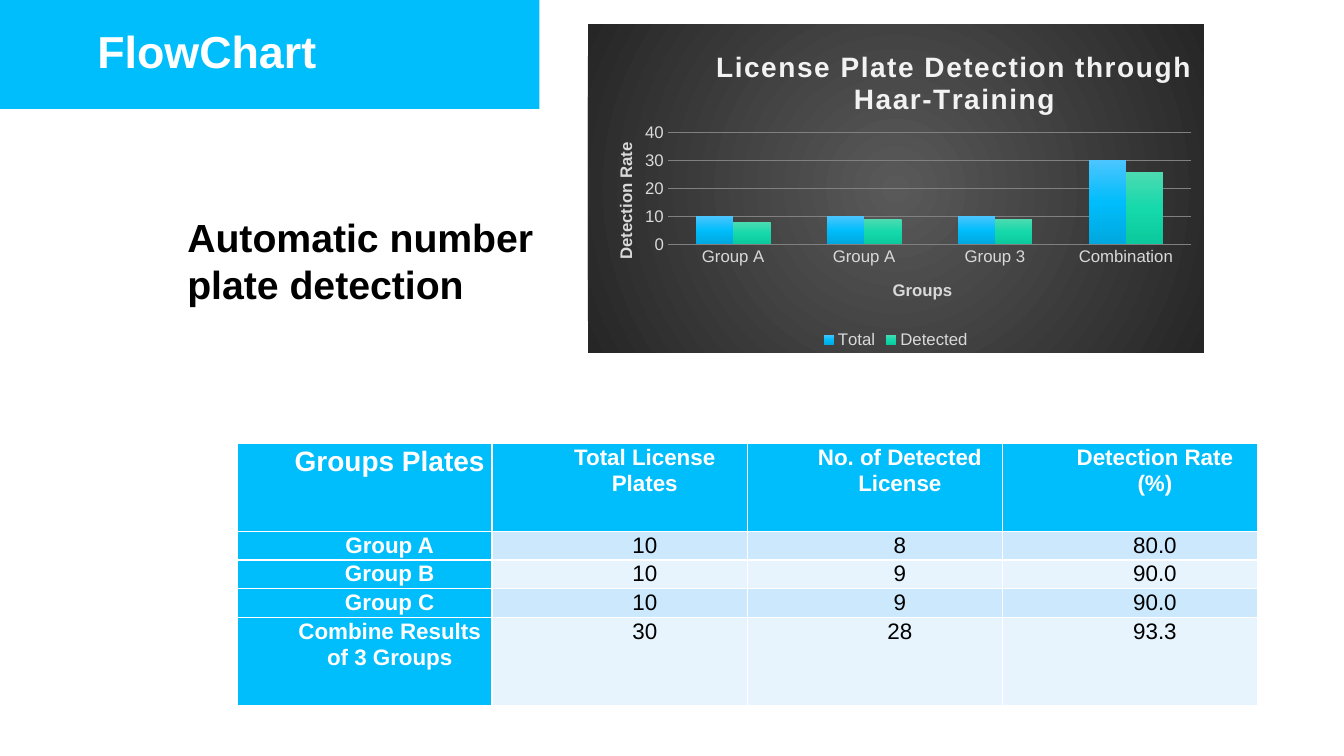
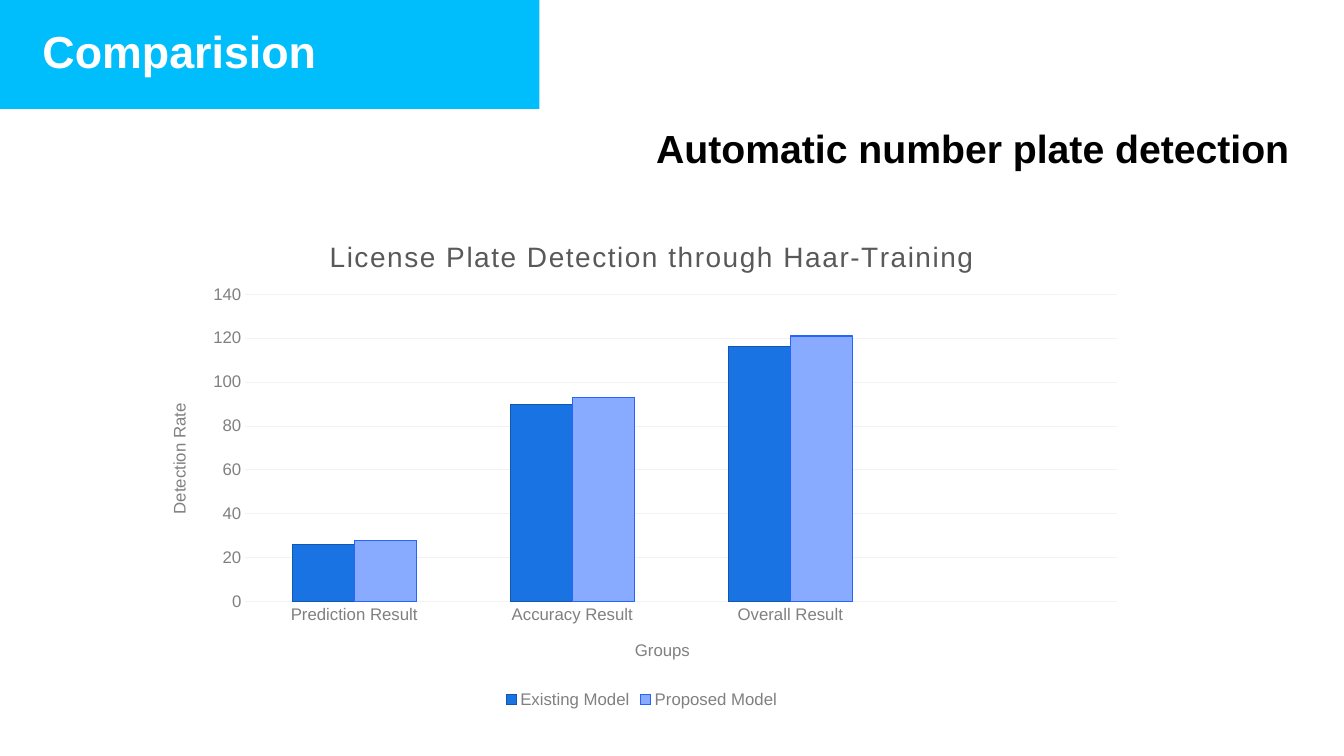
from lxml.etree import SubElement
from pptx import Presentation
from pptx.chart.data import CategoryChartData
from pptx.dml.color import RGBColor
from pptx.enum.chart import XL_CHART_TYPE, XL_LEGEND_POSITION, XL_TICK_MARK
from pptx.enum.shapes import MSO_SHAPE
from pptx.enum.text import MSO_ANCHOR, MSO_AUTO_SIZE, PP_ALIGN
from pptx.oxml import parse_xml
from pptx.oxml.ns import nsdecls, qn
from pptx.util import Inches, Pt

FONT = "Arial"
WHITE = RGBColor(0xFF, 0xFF, 0xFF)
BLACK = RGBColor(0x00, 0x00, 0x00)
SKY = RGBColor(0x00, 0xBD, 0xFB)
ROW_TINTS = (RGBColor(0xCC, 0xE8, 0xFD), RGBColor(0xE7, 0xF4, 0xFE))
SILVER = RGBColor(0xD9, 0xD9, 0xD9)
PALE = RGBColor(0xF2, 0xF2, 0xF2)
GRAY = RGBColor(0x80, 0x80, 0x80)
DARK_GRAY = RGBColor(0x59, 0x59, 0x59)
CHARCOAL = RGBColor(0x26, 0x26, 0x26)
BLUE = RGBColor(0x19, 0x73, 0xE2)
BLUE_EDGE = RGBColor(0x13, 0x57, 0xAA)
PERIWINKLE = RGBColor(0x88, 0xAA, 0xFF)
PERIWINKLE_EDGE = RGBColor(0x26, 0x64, 0xFF)
SKY_STOPS = (RGBColor(0x4B, 0xC5, 0xFF), SKY, RGBColor(0x00, 0xA8, 0xDF))
MINT_STOPS = (RGBColor(0x4E, 0xDA, 0xB1), RGBColor(0x15, 0xD9, 0xAB),
              RGBColor(0x0B, 0xC9, 0x9C))

SUBJECT = "Automatic number plate detection"
CHART_TITLE = "License Plate Detection through Haar-Training"
CATEGORY_TITLE = "Groups"
VALUE_TITLE = "Detection Rate"

RESULTS = [
    ("Groups Plates", "Total License Plates", "No. of Detected License",
     "Detection Rate (%)"),
    ("Group A", "10", "8", "80.0"),
    ("Group B", "10", "9", "90.0"),
    ("Group C", "10", "9", "90.0"),
    ("Combine Results of 3 Groups", "30", "28", "93.3"),
]
TALL_ROW, SHORT_ROW = 0.87, 0.28

# Positions inside a chart are shares of the chart's own size.
DETECTION_CHART = {
    "box": (5.83, 0.24, 6.11, 3.26),
    "categories": ["Group A", "Group A", "Group 3", "Combination"],
    "series": [("Total", (10, 10, 10, 30), SKY_STOPS, None),
               ("Detected", (8, 9, 9, 26), MINT_STOPS, None)],
    "scale": (40, 10),
    "plot": (0.13, 0.33, 0.85, 0.34),
    "title_at": (0.2, 0.06),
    "category_title_at": (0.49, 0.77),
    "value_title_at": (0.04, 0.35),
    "title_color": PALE, "label_color": SILVER, "grid_color": GRAY,
    "bold": True, "background": (DARK_GRAY, CHARCOAL),
}
COMPARISON_CHART = {
    "box": (1.45, 2.07, 9.83, 5),
    "categories": ["Prediction Result", "Accuracy Result", "Overall Result", ""],
    "series": [("Existing Model", (26, 90, 116, None), (BLUE,), BLUE_EDGE),
               ("Proposed Model", (28, 93, 121, None), (PERIWINKLE,), PERIWINKLE_EDGE)],
    "scale": (140, 20),
    "plot": (0.1, 0.17, 0.88, 0.61),
    "title_at": (0.18, 0.05),
    "category_title_at": (0.49, 0.85),
    "value_title_at": (0.02, 0.38),
    "title_color": DARK_GRAY, "label_color": GRAY, "grid_color": PALE,
    "bold": False, "background": None,
}


def set_font(font, size, color, bold=False):
    font.name, font.size, font.bold = FONT, Pt(size), bold
    font.color.rgb = color


def write(text_frame, text, *, size, color, bold=False, align=PP_ALIGN.LEFT):
    text_frame.text = text
    paragraph = text_frame.paragraphs[0]
    paragraph.alignment = align
    set_font(paragraph.runs[0].font, size, color, bold)
    return paragraph


def inches(*lengths):
    return [Inches(length) for length in lengths]


def gradient(colors, direction):
    last = len(colors) - 1
    stops = "".join(
        f'<a:gs pos="{100000 * index // last}"><a:srgbClr val="{color}"/></a:gs>'
        for index, color in enumerate(colors))
    return parse_xml(f'<a:gradFill {nsdecls("a")} rotWithShape="1">'
                     f'<a:gsLst>{stops}</a:gsLst>{direction}</a:gradFill>')


def place(element, **shares):
    """Give a chart title or plot area a manual layout."""
    for old in element.findall(qn("c:layout")):
        element.remove(old)
    layout = parse_xml(f'<c:layout {nsdecls("c")}><c:manualLayout/></c:layout>')
    for name, value in shares.items():
        SubElement(layout[0], qn(f"c:{name}")).set("val", str(value))
    element.insert(0 if element.find(qn("c:tx")) is None else 1, layout)


def write_chart_title(title, text, position, **text_format):
    paragraph = write(title.text_frame, text, align=PP_ALIGN.CENTER, **text_format)
    x, y = position
    place(title._element, xMode="edge", yMode="edge", x=x, y=y)
    return paragraph


def paint_chart_area(chart, colors):
    properties = parse_xml(f'<c:spPr {nsdecls("c", "a")}><a:noFill/>'
                           '<a:ln><a:noFill/></a:ln></c:spPr>')
    if colors:
        circle = ('<a:path path="circle"><a:fillToRect l="50000" t="50000" '
                  'r="50000" b="50000"/></a:path>')
        properties.replace(properties[0], gradient(colors, circle))
    chart.element.find(qn("c:chart")).addnext(properties)


def paint_series(series, colors, edge):
    series.format.fill.solid()
    series.format.fill.fore_color.rgb = colors[0]
    if len(colors) > 1:
        properties = series._element.find(qn("c:spPr"))
        properties.replace(properties.find(qn("a:solidFill")),
                           gradient(colors, '<a:lin ang="5400000" scaled="0"/>'))
    if edge:
        series.format.line.color.rgb = edge
        series.format.line.width = Pt(0.75)


def add_column_chart(slide, design):
    data = CategoryChartData()
    data.categories = design["categories"]
    for name, values, _, _ in design["series"]:
        data.add_series(name, values)
    chart = slide.shapes.add_chart(
        XL_CHART_TYPE.COLUMN_CLUSTERED, *inches(*design["box"]), data).chart
    label_color, bold = design["label_color"], design["bold"]
    set_font(chart.font, 12, label_color)
    paint_chart_area(chart, design["background"])

    plot = chart.plots[0]
    plot.gap_width, plot.overlap, plot.vary_by_categories = 150, 0, False
    for series, (_, _, colors, edge) in zip(plot.series, design["series"]):
        paint_series(series, colors, edge)
    x, y, width, height = design["plot"]
    place(chart.element.find(f".//{qn('c:plotArea')}"), layoutTarget="inner",
          xMode="edge", yMode="edge", x=x, y=y, w=width, h=height)

    chart.has_title = True
    heading = write_chart_title(chart.chart_title, CHART_TITLE, design["title_at"],
                                size=20, color=design["title_color"], bold=bold)
    heading.runs[0]._r.get_or_add_rPr().set("spc", "100")

    value_axis = chart.value_axis
    for axis, text, position in (
            (chart.category_axis, CATEGORY_TITLE, design["category_title_at"]),
            (value_axis, VALUE_TITLE, design["value_title_at"])):
        axis.major_tick_mark = axis.minor_tick_mark = XL_TICK_MARK.NONE
        axis.format.line.fill.background()
        set_font(axis.tick_labels.font, 12, label_color)
        write_chart_title(axis.axis_title, text, position,
                          size=12, color=label_color, bold=bold)
    turned = value_axis.axis_title.text_frame._txBody.find(qn("a:bodyPr"))
    turned.set("rot", "-5400000")
    turned.set("vert", "horz")
    value_axis.minimum_scale = 0
    value_axis.maximum_scale, value_axis.major_unit = design["scale"]
    value_axis.major_gridlines.format.line.color.rgb = design["grid_color"]
    value_axis.major_gridlines.format.line.width = Pt(0.75)

    chart.has_legend = True
    chart.legend.position = XL_LEGEND_POSITION.BOTTOM
    chart.legend.include_in_layout = False
    set_font(chart.legend.font, 12, label_color)


def add_results_table(slide):
    heights = [TALL_ROW] + [SHORT_ROW] * (len(RESULTS) - 2) + [TALL_ROW]
    table = slide.shapes.add_table(
        len(RESULTS), len(RESULTS[0]), *inches(2.35, 4.4, 10.12, sum(heights))).table
    table.first_col = True
    for row, height in zip(table.rows, heights):
        row.height = Inches(height)
    for row_index, texts in enumerate(RESULTS):
        for column_index, text in enumerate(texts):
            cell = table.cell(row_index, column_index)
            is_header = row_index == 0 or column_index == 0
            cell.margin_left = cell.margin_right = Inches(0.07)
            cell.margin_top = cell.margin_bottom = 0
            cell.fill.solid()
            cell.fill.fore_color.rgb = SKY if is_header else ROW_TINTS[(row_index - 1) % 2]
            paragraph = write(cell.text_frame, text, bold=is_header,
                              size=20 if row_index == column_index == 0 else 16,
                              color=WHITE if is_header else BLACK,
                              align=PP_ALIGN.CENTER)
            paragraph.line_spacing = 1.07
            paragraph._p.get_or_add_pPr().set("marL", str(Inches(0.5)))


def add_titled_slide(presentation, title_text, subject_box):
    """Add a slide with the title on its band and the subject line."""
    slide = presentation.slides.add_slide(presentation.slide_layouts[5])
    band = slide.shapes.add_shape(MSO_SHAPE.RECTANGLE, *inches(0, 0, 5.35, 1.08))
    band.shadow.inherit = False
    band.fill.solid()
    band.fill.fore_color.rgb = SKY
    band.line.fill.background()
    slide.shapes._spTree.insert(2, band._element)

    title = slide.shapes.title
    title.left, title.top, title.width, title.height = inches(0, 0.18, 3.24, 0.64)
    title.text_frame.auto_size = MSO_AUTO_SIZE.NONE
    title.text_frame.vertical_anchor = MSO_ANCHOR.MIDDLE
    write(title.text_frame, title_text, size=32, color=WHITE, bold=True,
          align=PP_ALIGN.RIGHT)

    subject = slide.shapes.add_textbox(*inches(*subject_box)).text_frame
    subject.word_wrap = True
    write(subject, SUBJECT, size=28, color=BLACK, bold=True)
    return slide


def main():
    presentation = Presentation()
    presentation.slide_width, presentation.slide_height = inches(13.33, 7.5)

    flowchart = add_titled_slide(presentation, "FlowChart", (1.76, 2.07, 4.07, 1.04))
    add_results_table(flowchart)
    add_column_chart(flowchart, DETECTION_CHART)

    comparison = add_titled_slide(presentation, "Comparision", (6.41, 1.18, 6.8, 0.57))
    add_column_chart(comparison, COMPARISON_CHART)

    presentation.save("out.pptx")


if __name__ == "__main__":
    main()
